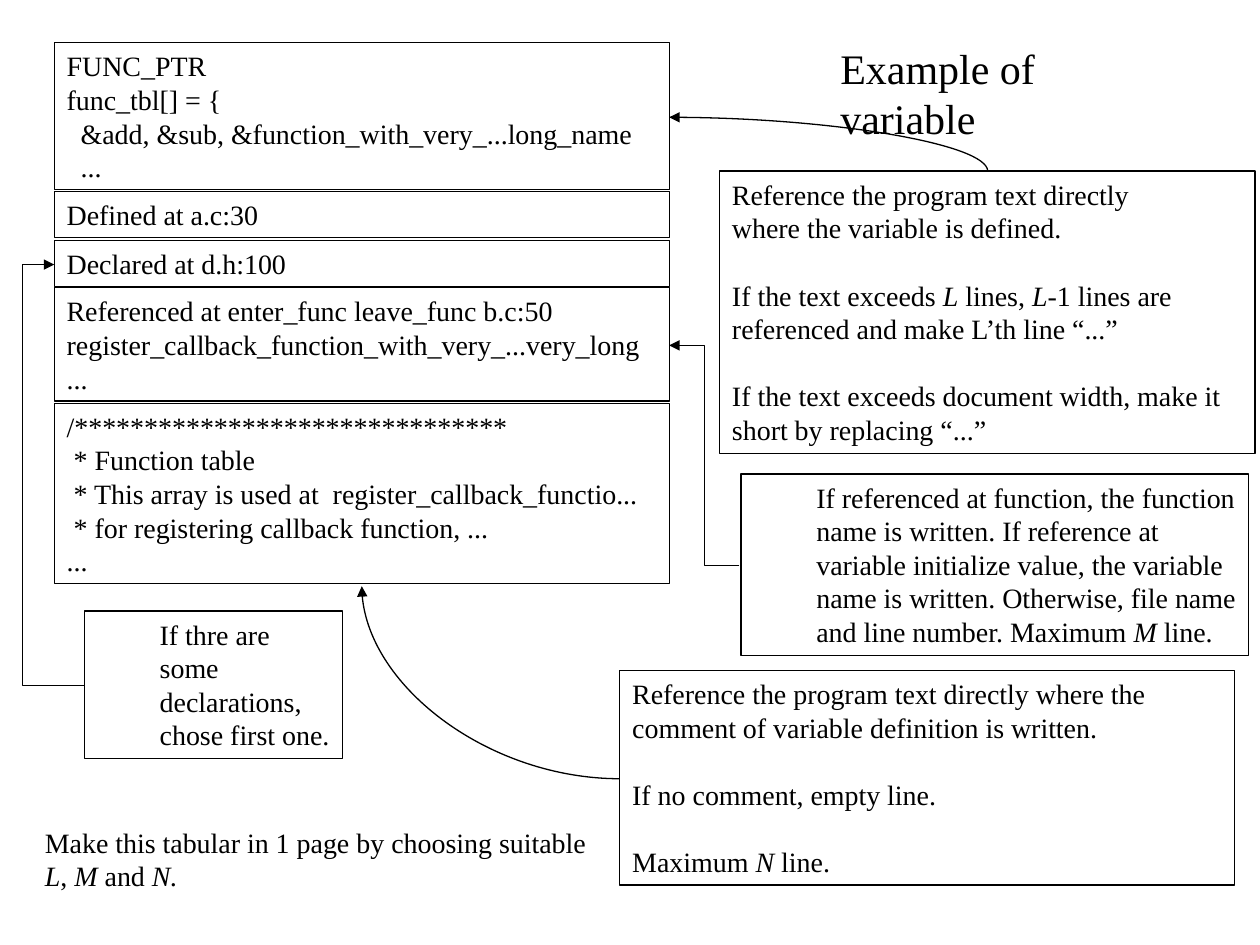
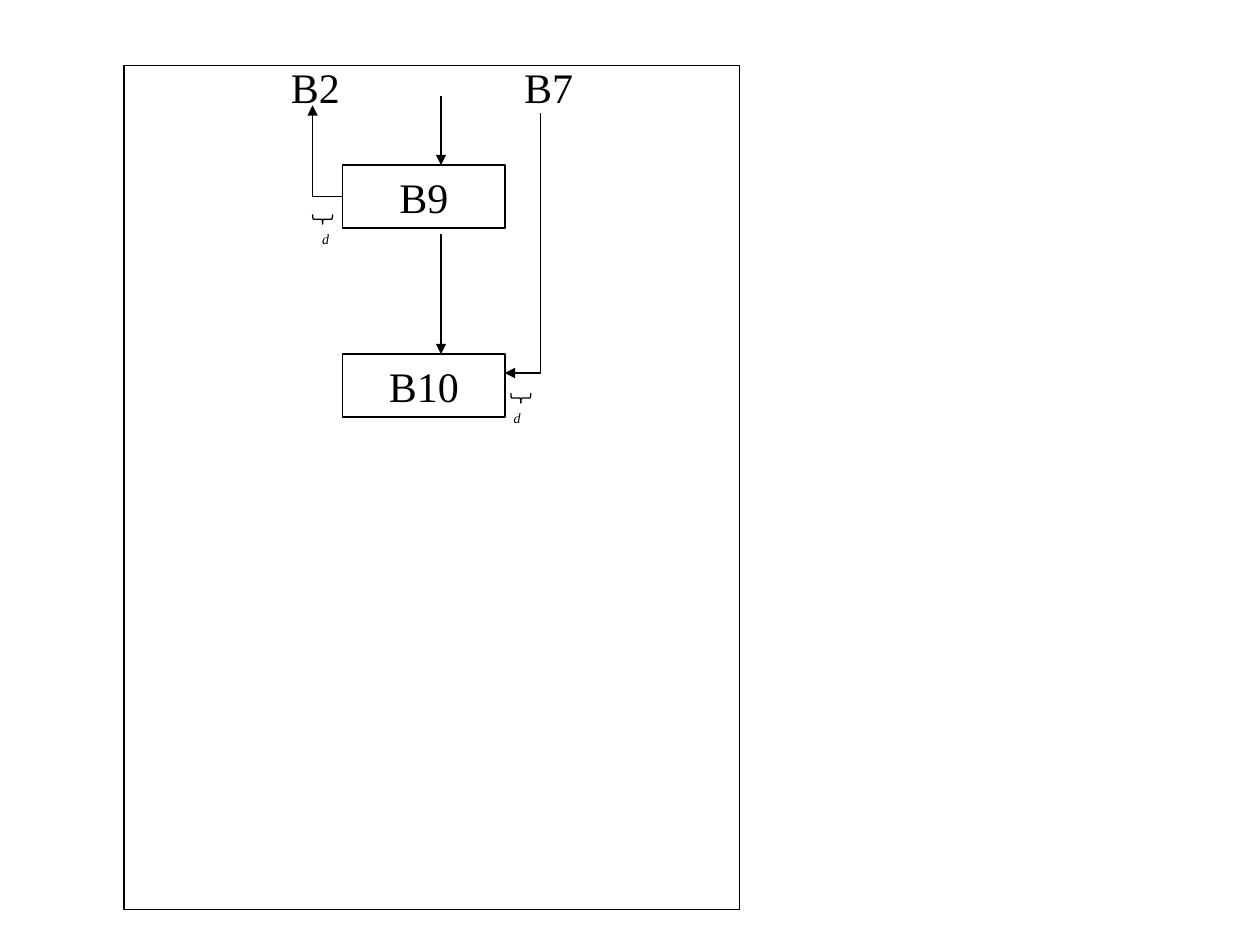
from itertools import pairwise
from lxml.etree import SubElement
from pptx import Presentation
from pptx.dml.color import RGBColor
from pptx.enum.shapes import MSO_CONNECTOR, MSO_SHAPE
from pptx.enum.text import MSO_ANCHOR, MSO_AUTO_SIZE, PP_ALIGN
from pptx.oxml.ns import qn
from pptx.util import Pt

BLACK = RGBColor(0, 0, 0)
FONT = "Times New Roman"
BODY, HEAD, TINY = 16, 24, 8
LEAD = 1.2
PAD_X, PAD_Y = 7.2, 3.6
THIN = 0.75

TITLE = ("Example of variable", 473, 20.4, 208.8, 36)

COL_X, COL_W = 31, 351.4
ROWS = [
    (24.4, ["FUNC_PTR", "func_tbl[] = {",
            "  &add, &sub, &function_with_very_...long_name", "  ..."]),
    (109.4, ["Defined at a.c:30"]),
    (137.4, ["Declared at d.h:100"]),
    (164.4, ["Referenced at enter_func leave_func b.c:50",
             "register_callback_function_with_very_...very_long", "..."]),
    (230.4, ["/*******************************", " * Function table",
             " * This array is used at  register_callback_functio...",
             " * for registering callback function, ...", "..."]),
]

NOTES = [
    ([["Reference the program text directly",
       "where the variable is defined."],
      ["If the text exceeds ~L~ lines, ~L~-1 lines are referenced "
       "and make L’th line “...”"],
      ["If the text exceeds document width, make it short by replacing “...”"]],
     (411.2, 97.8, 306, 161.2), {}),
    ([["Reference the program text directly where the comment of "
       "variable definition is written."],
      ["If no comment, empty line."],
      ["Maximum ~N~ line."]],
     (354.2, 383.2, 351.4, 122.6), {}),
    ([["If thre are some declarations, chose first one."]],
     (48.2, 349.2, 147.6, 84.2), {"inset": 36}),
    ([["If referenced at function, the function",
       "name is written. If reference at",
       "variable initialize value, the variable",
       "name is written. Otherwise, file name",
       "and line number. Maximum ~M~ line."]],
     (423.4, 270.8, 290.2, 103.6), {"inset": 36, "wrap": False}),
]
ADVICE = [["Make this tabular in 1 page by choosing suitable",
           "~L~, ~M~ and ~N.~"]]

LINKS = [
    ("curvedConnector2", (382.4, 67, 564.4, 97.8), "headEnd", None),
    ("bentConnector3", (422.6, 323.2, 382.4, 197.4), "tailEnd", 49800),
    ("curvedConnector2", (354.2, 445, 206.8, 335), "tailEnd", None),
    ("bentConnector3", (48.2, 391.6, 31, 151.2), "tailEnd", 205800),
]

FRAME = (70.8, 37.4, 422.6, 519.8)
NODE_X, NODE_W, NODE_H = 195.8, 92.8, 36
NODES = [("B9", 94.4), ("B10", 202.4)]
ENDS = [("B2", 159.2), ("B7", 292.4)]
FLOW_X = 252
FLOWS = [(54.6, 94.4), (134, 202.4)]
TURNS = [
    ("bentConnector2", (195.8, 112.4, 178.6, 60.2), "tailEnd", None),
    ("bentConnector2", (288.4, 213.2, 308.8, 64.4), "headEnd", None),
]
GAPS = [((181.5, 119.6), (177, 128.2)), ((294.8, 221.8), (286.4, 230.6))]


def write(frame, groups, size=BODY, align=PP_ALIGN.LEFT, inset=0, wrap=True):
    frame.auto_size = MSO_AUTO_SIZE.NONE
    frame.word_wrap = wrap
    frame.vertical_anchor = MSO_ANCHOR.TOP
    frame.margin_left = frame.margin_right = Pt(PAD_X)
    frame.margin_top = frame.margin_bottom = Pt(PAD_Y)
    lines = [(text, i > 0 and j == 0)
             for i, group in enumerate(groups) for j, text in enumerate(group)]
    for n, (text, gap) in enumerate(lines):
        para = frame.add_paragraph() if n else frame.paragraphs[0]
        para.alignment = align
        para.line_spacing = Pt(size * LEAD)
        para.space_before = Pt(size * LEAD if gap else 0)
        if inset:
            props = para._p.get_or_add_pPr()
            props.set("marL", str(Pt(inset)))
            props.set("indent", "0")
        for k, part in enumerate(text.split("~")):
            if part:
                run = para.add_run()
                run.text = part
                run.font.name, run.font.size = FONT, Pt(size)
                run.font.italic = k % 2 == 1
                run.font.color.rgb = BLACK


def shape(slide, kind, place):
    item = slide.shapes.add_shape(kind, *map(Pt, place))
    item.shadow.inherit = False
    item.fill.background()
    item.line.color.rgb = BLACK
    item.line.width = Pt(THIN)
    return item


def box(slide, groups, place, **style):
    write(shape(slide, MSO_SHAPE.RECTANGLE, place).text_frame, groups, **style)


def label(slide, groups, place, size=BODY):
    item = slide.shapes.add_textbox(*map(Pt, place))
    write(item.text_frame, groups, size, wrap=False)


def link(slide, kind, ends, tip=None, bend=None):
    item = slide.shapes.add_connector(MSO_CONNECTOR.STRAIGHT, *map(Pt, ends))
    item.line.color.rgb = BLACK
    item.line.width = Pt(THIN)
    props = item._element.spPr
    form = props.find(qn("a:prstGeom"))
    form.set("prst", kind)
    if bend:
        SubElement(form.find(qn("a:avLst")), qn("a:gd"),
                   name="adj1", fmla=f"val {bend}")
    if tip:
        SubElement(props.find(qn("a:ln")), qn(f"a:{tip}"), type="triangle")
    SubElement(props, qn("a:effectLst"))


def draw_table(deck):
    slide = deck.slides.add_slide(deck.slide_layouts[5])
    text, *place = TITLE
    title = slide.shapes.title
    title.left, title.top, title.width, title.height = map(Pt, place)
    write(title.text_frame, [[text]], HEAD, wrap=False)
    for top, lines in ROWS:
        high = len(lines) * BODY * LEAD + 2 * PAD_Y
        box(slide, [lines], (COL_X, top, COL_W, high))
    for groups, place, style in NOTES:
        box(slide, groups, place, **style)
    label(slide, ADVICE, (18.6, 468, 323.2, 46))
    for item in LINKS:
        link(slide, *item)


def draw_flow(deck):
    slide = deck.slides.add_slide(deck.slide_layouts[6])
    left, top, right, base = FRAME
    path = [(left, top), (left, base), (right, base), (right, top), (left, top)]
    for start, end in pairwise(path):
        link(slide, "line", start + end)
    for name, y in NODES:
        box(slide, [[name]], (NODE_X, y, NODE_W, NODE_H),
            size=HEAD, align=PP_ALIGN.CENTER)
    for name, x in ENDS:
        label(slide, [[name]], (x, 31.6, 42.4, 36), HEAD)
    for start, end in FLOWS:
        link(slide, "line", (FLOW_X, start, FLOW_X, end), "tailEnd")
    for item in TURNS:
        link(slide, *item)
    for brace, mark in GAPS:
        shape(slide, MSO_SHAPE.RIGHT_BRACE, (*brace, 5.6, 11.4)).rotation = 90
        label(slide, [["~d~"]], (*mark, 18, 17.2), TINY)


def main():
    deck = Presentation()
    deck.slide_width, deck.slide_height = Pt(720), Pt(540)
    draw_table(deck)
    draw_flow(deck)
    deck.save("out.pptx")


if __name__ == "__main__":
    main()
